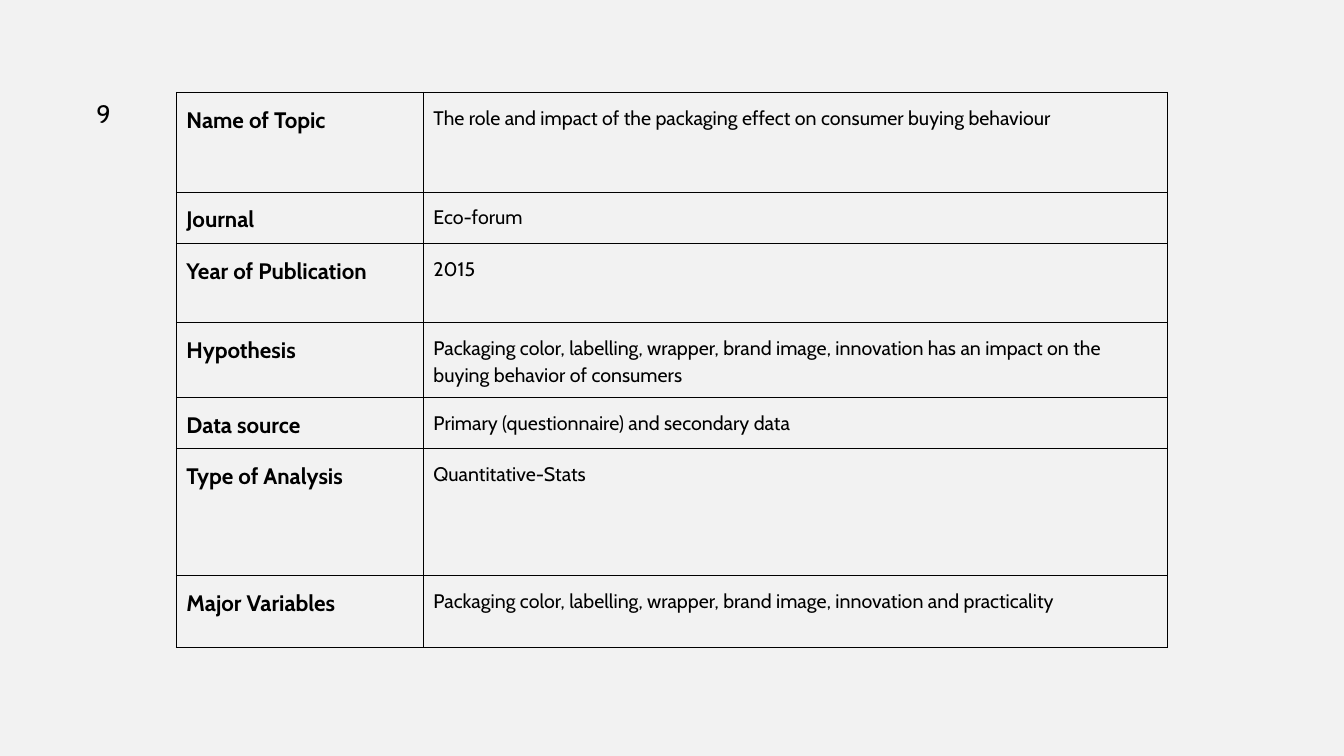
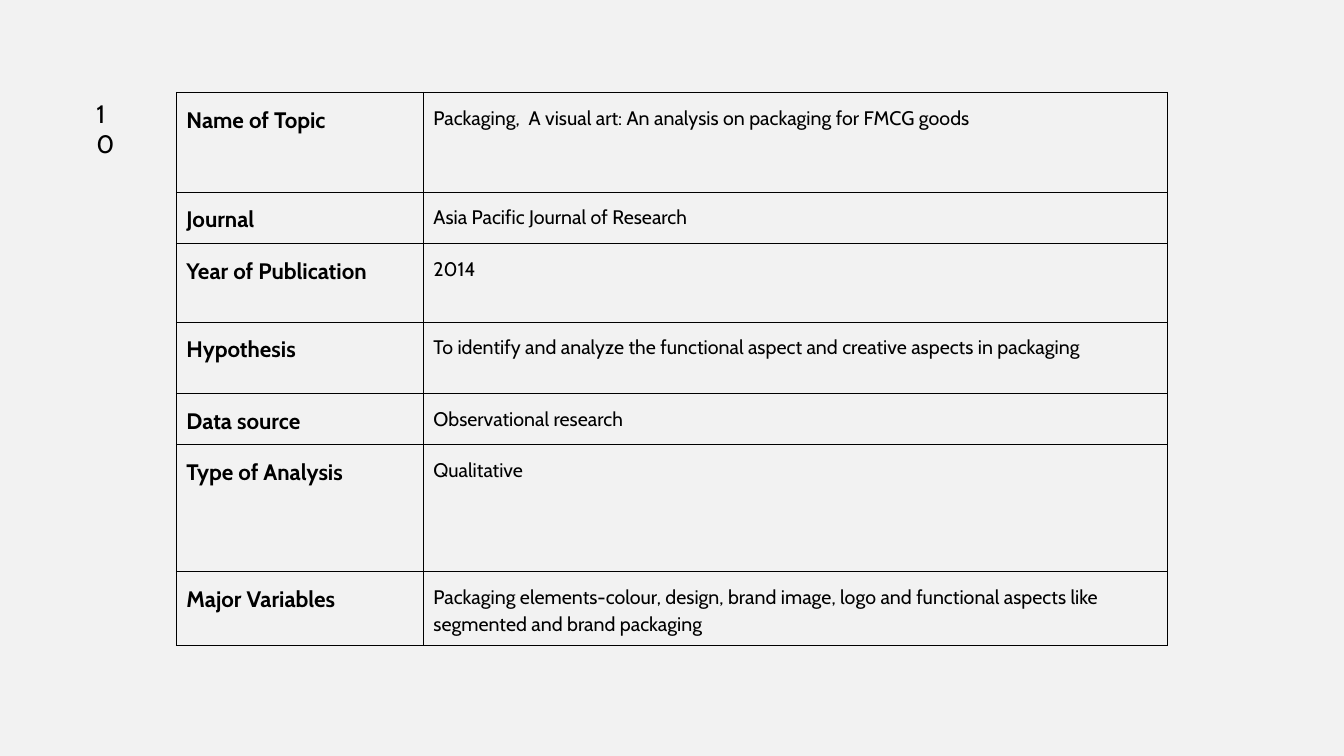
from dataclasses import dataclass
from typing import Any

from lxml.etree import SubElement
from pptx import Presentation
from pptx.dml.color import RGBColor
from pptx.oxml.ns import qn
from pptx.util import Inches, Pt

INK = RGBColor(0x00, 0x00, 0x00)
PAPER = RGBColor(0xF2, 0xF2, 0xF2)
FONT = "Cabin"
WIDE, HIGH = Inches(13.33), Inches(7.5)
GRID_X, GRID_Y = 160, 90
LEFT, TOP = 21, 11
COLS = (29.4, 88.6)
ROWS = (11.9, 5.6, 9.4, 8.5, 5.6, 15.1, 8.5)
LABELS = (
    "Name of Topic",
    "Journal",
    "Year of Publication",
    "Hypothesis",
    "Data source",
    "Type of Analysis",
    "Major Variables",
)


@dataclass(frozen=True)
class Study:
    number: int
    facts: tuple[str, ...]


STUDIES = (
    Study(9, (
        "The role and impact of the packaging effect on consumer buying behaviour",
        "Eco-forum",
        "2015",
        "Packaging color, labelling, wrapper, brand image, innovation has an impact "
        "on the buying behavior of consumers",
        "Primary (questionnaire) and secondary data",
        "Quantitative-Stats",
        "Packaging color, labelling, wrapper, brand image, innovation and practicality",
    )),
    Study(10, (
        "Packaging,  A visual art: An analysis on packaging for FMCG goods",
        "Asia Pacific Journal of Research",
        "2014",
        "To identify and analyze the functional aspect and creative aspects in packaging",
        "Observational research",
        "Qualitative",
        "Packaging elements-colour, design, brand image, logo and functional aspects "
        "like segmented and brand packaging",
    )),
)


def across(cols: float) -> int:
    return round(WIDE * cols / GRID_X)


def down(rows: float) -> int:
    return round(HIGH * rows / GRID_Y)


def write(frame: Any, text: str, *, size: float, bold: bool = False,
          lead: float = 1.0) -> None:
    frame.word_wrap = True
    para = frame.paragraphs[0]
    para.line_spacing = lead
    run = para.add_run()
    run.text = text
    run.font.name = FONT
    run.font.size = Pt(size)
    run.font.bold = bold
    run.font.color.rgb = INK


def border(cell: Any) -> None:
    props = cell._tc.get_or_add_tcPr()
    for side in ("a:lnL", "a:lnR", "a:lnT", "a:lnB"):
        line = SubElement(props, qn(side), w=str(Pt(0.75)))
        fill = SubElement(line, qn("a:solidFill"))
        SubElement(fill, qn("a:srgbClr"), val=str(INK))


def fill_cell(cell: Any, text: str, *, size: float, bold: bool) -> None:
    border(cell)
    cell.fill.background()
    cell.margin_left = cell.margin_right = Inches(0.1)
    cell.margin_top = cell.margin_bottom = Inches(0.1)
    write(cell.text_frame, text, size=size, bold=bold, lead=1.15)


def add_facts(slide: Any, study: Study) -> None:
    table = slide.shapes.add_table(
        len(ROWS), len(COLS), across(LEFT), down(TOP),
        across(sum(COLS)), down(sum(ROWS)),
    ).table
    table.first_row = table.horz_banding = False
    for col, width in zip(table.columns, COLS):
        col.width = across(width)
    for row, height, label, fact in zip(table.rows, ROWS, LABELS, study.facts):
        row.height = down(height)
        fill_cell(row.cells[0], label, size=16, bold=True)
        fill_cell(row.cells[1], fact, size=14, bold=False)


def add_number(slide: Any, number: int) -> None:
    box = slide.shapes.add_textbox(across(10.3), down(11.1), across(4.8), down(4.8))
    write(box.text_frame, str(number), size=18)


def main() -> None:
    deck = Presentation()
    deck.slide_width, deck.slide_height = WIDE, HIGH
    back = deck.slide_master.background.fill
    back.solid()
    back.fore_color.rgb = PAPER
    for study in STUDIES:
        slide = deck.slides.add_slide(deck.slide_layouts[6])
        add_facts(slide, study)
        add_number(slide, study.number)
    deck.save("out.pptx")


if __name__ == "__main__":
    main()
